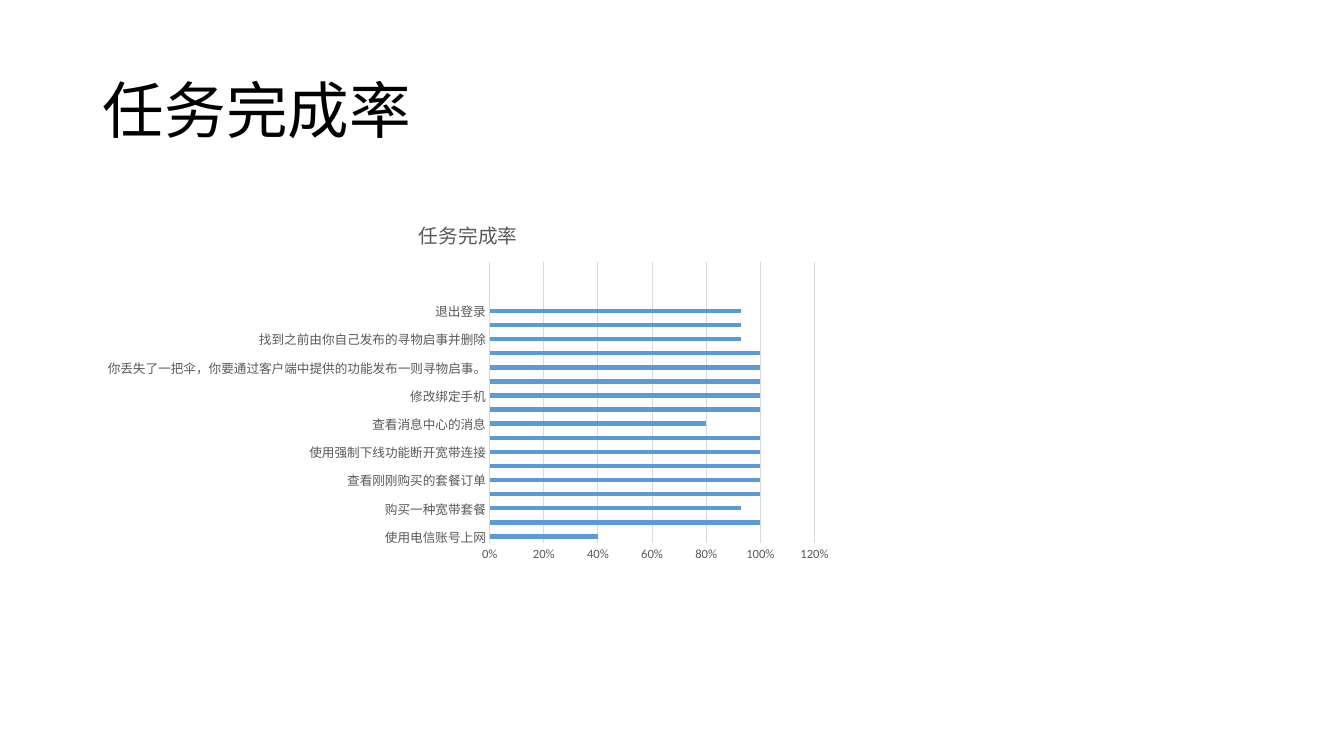
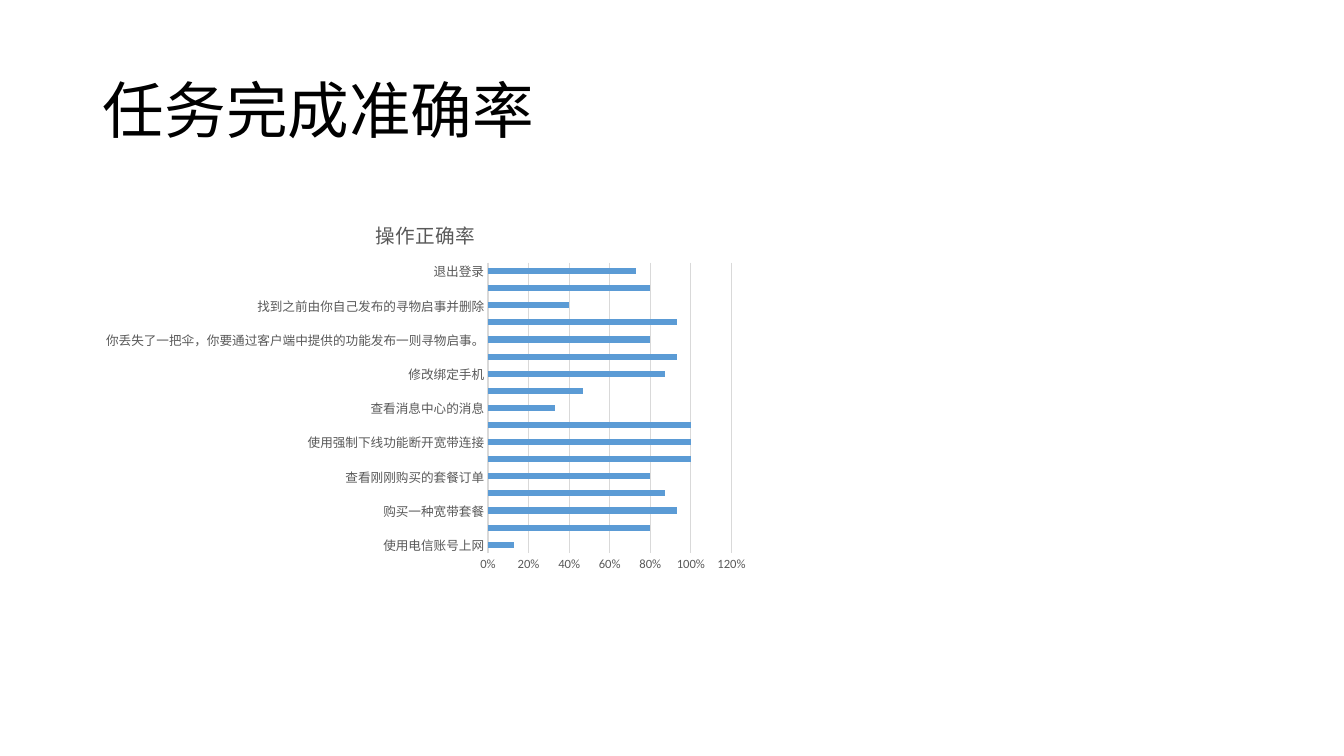
from pptx import Presentation
from pptx.chart.data import CategoryChartData
from pptx.dml.color import RGBColor
from pptx.enum.chart import XL_CHART_TYPE as CT, XL_TICK_MARK as TM
from pptx.enum.text import MSO_ANCHOR, PP_ALIGN
from pptx.util import Pt

COLORS = {"title": "000000", "label": "595959", "grid": "D9D9D9", "bar": "5B9BD5"}
FONT = "Calibri"
LEFT = 66.24
TASKS = [
    "使用电信账号上网",
    "假设你忘记了密码，请你找回密码后登录客户端",
    "购买一种宽带套餐",
    "在校园网公众号购买新套餐并在APP里激活购买的宽带套餐",
    "查看刚刚购买的套餐订单",
    "拨号上网",
    "使用强制下线功能断开宽带连接",
    "查看认证日志",
    "查看消息中心的消息",
    "修改登录密码",
    "修改绑定手机",
    "查看校园资讯中第一条资讯的详细情况",
    "你丢失了一把伞，你要通过客户端中提供的功能发布一则寻物启事。",
    "筛选出所有的寻物启事信息",
    "找到之前由你自己发布的寻物启事并删除",
    "查看就业服务中心的电话",
    "退出登录",
]
COMPLETION = [0.4, 1, 0.93, 1, 1, 1, 1, 1, 0.8, 1, 1, 1, 1, 1, 0.93, 0.93, 0.93,
              None, None, None]
ACCURACY = [0.13, 0.8, 0.93, 0.87, 0.8, 1, 1, 1, 0.33, 0.47, 0.87, 0.93, 0.8, 0.93,
            0.4, 0.8, 0.73]


def rgb(name):
    """Return the named palette colour."""
    return RGBColor.from_string(COLORS[name])


def set_font(font, size, color):
    """Apply the deck font at a size and palette colour."""
    font.name, font.size, font.bold = FONT, Pt(size), False
    font.color.rgb = rgb(color)


def set_line(line):
    """Give a chart line the thin grid style."""
    line.width = Pt(0.75)
    line.color.rgb = rgb("grid")


class Deck:
    """Deck style together with the current slide."""

    def __init__(self):
        """Start a widescreen presentation."""
        self.prs = Presentation()
        self.prs.slide_width, self.prs.slide_height = Pt(960), Pt(540)
        self.s = None

    def slide(self, title):
        """Add a slide with its title."""
        self.s = self.prs.slides.add_slide(self.prs.slide_layouts[5])
        sp = self.s.shapes.title
        sp.left, sp.top, sp.width, sp.height = Pt(LEFT), Pt(28.8), Pt(828), Pt(104.4)
        tf = sp.text_frame
        tf.text, tf.vertical_anchor = title, MSO_ANCHOR.MIDDLE
        p = tf.paragraphs[0]
        p.alignment, p.line_spacing = PP_ALIGN.LEFT, 0.9
        set_font(p.font, 44, "title")

    def bar_chart(self, title, values, width, height, gap):
        """Add a bar chart of one rate per task."""
        data = CategoryChartData(number_format="0%")
        data.categories = TASKS + [""] * (len(values) - len(TASKS))
        data.add_series(title, values)
        chart = self.s.shapes.add_chart(
            CT.BAR_CLUSTERED, Pt(LEFT), Pt(144), Pt(width), Pt(height), data).chart
        set_font(chart.font, 10, "title")
        chart.has_legend = False
        tf = chart.chart_title.text_frame
        tf.text = title
        set_font(tf.paragraphs[0].font, 14, "label")
        chart.chart_title.include_in_layout = False

        plot = chart.plots[0]
        plot.gap_width, plot.vary_by_categories = gap, False
        fill = plot.series[0].format.fill
        fill.solid()
        fill.fore_color.rgb = rgb("bar")
        self.style_axes(chart.category_axis, chart.value_axis)

    def style_axes(self, cat, val):
        """Style the task axis and the percentage axis."""
        for axis in (cat, val):
            axis.major_tick_mark = axis.minor_tick_mark = TM.NONE
            set_font(axis.tick_labels.font, 9, "label")
        set_line(cat.format.line)
        val.format.line.fill.background()
        val.has_major_gridlines = True
        set_line(val.major_gridlines.format.line)
        val.minimum_scale, val.maximum_scale, val.major_unit = 0, 1.2, 0.2
        val.tick_labels.number_format = "0%"
        val.tick_labels.number_format_is_linked = False


deck = Deck()
deck.slide("任务完成率")
deck.bar_chart("任务完成率", COMPLETION, 536.4, 262.8, 219)
deck.slide("任务完成准确率")
deck.bar_chart("操作正确率", ACCURACY, 475.92, 270, 182)
deck.prs.save("out.pptx")
